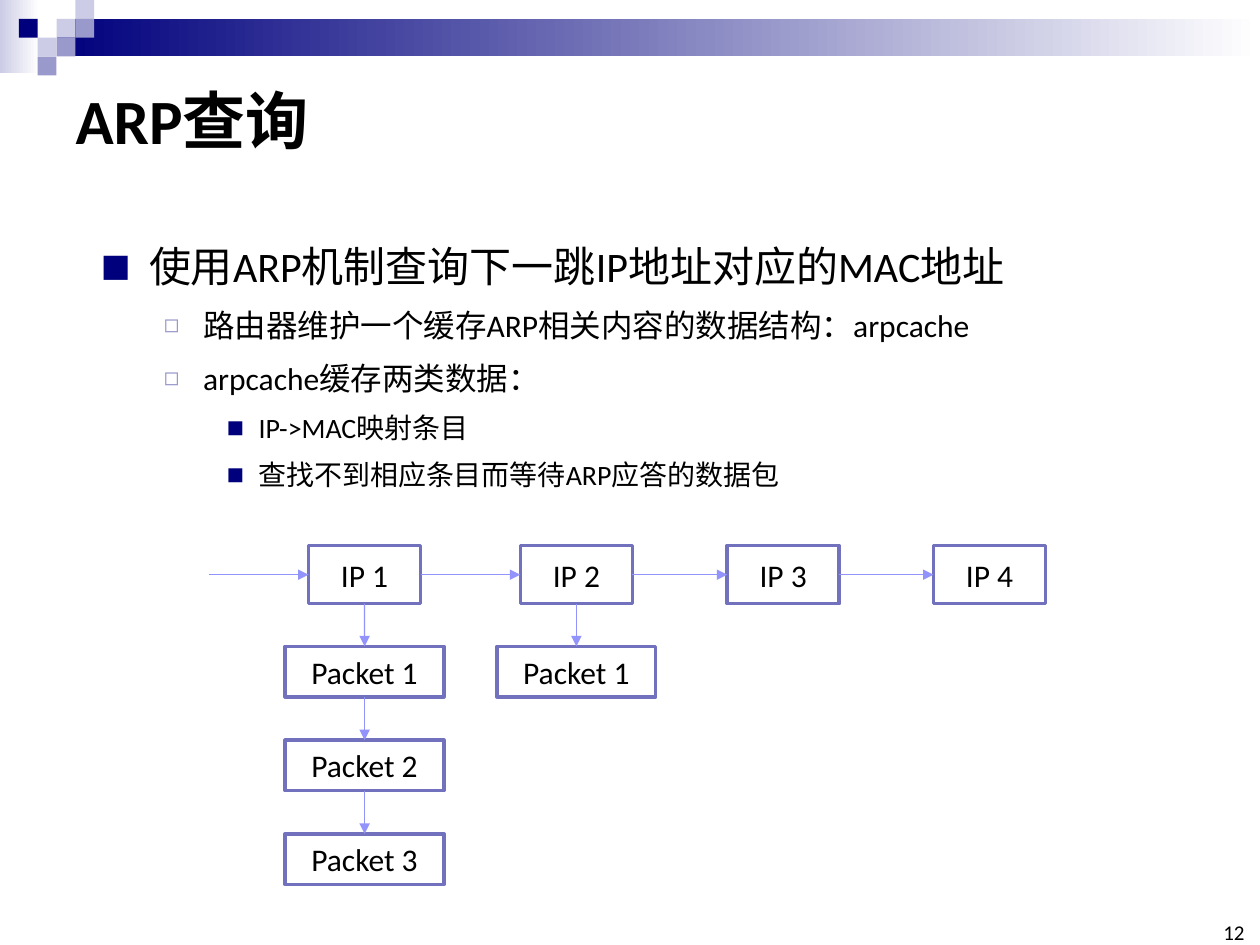
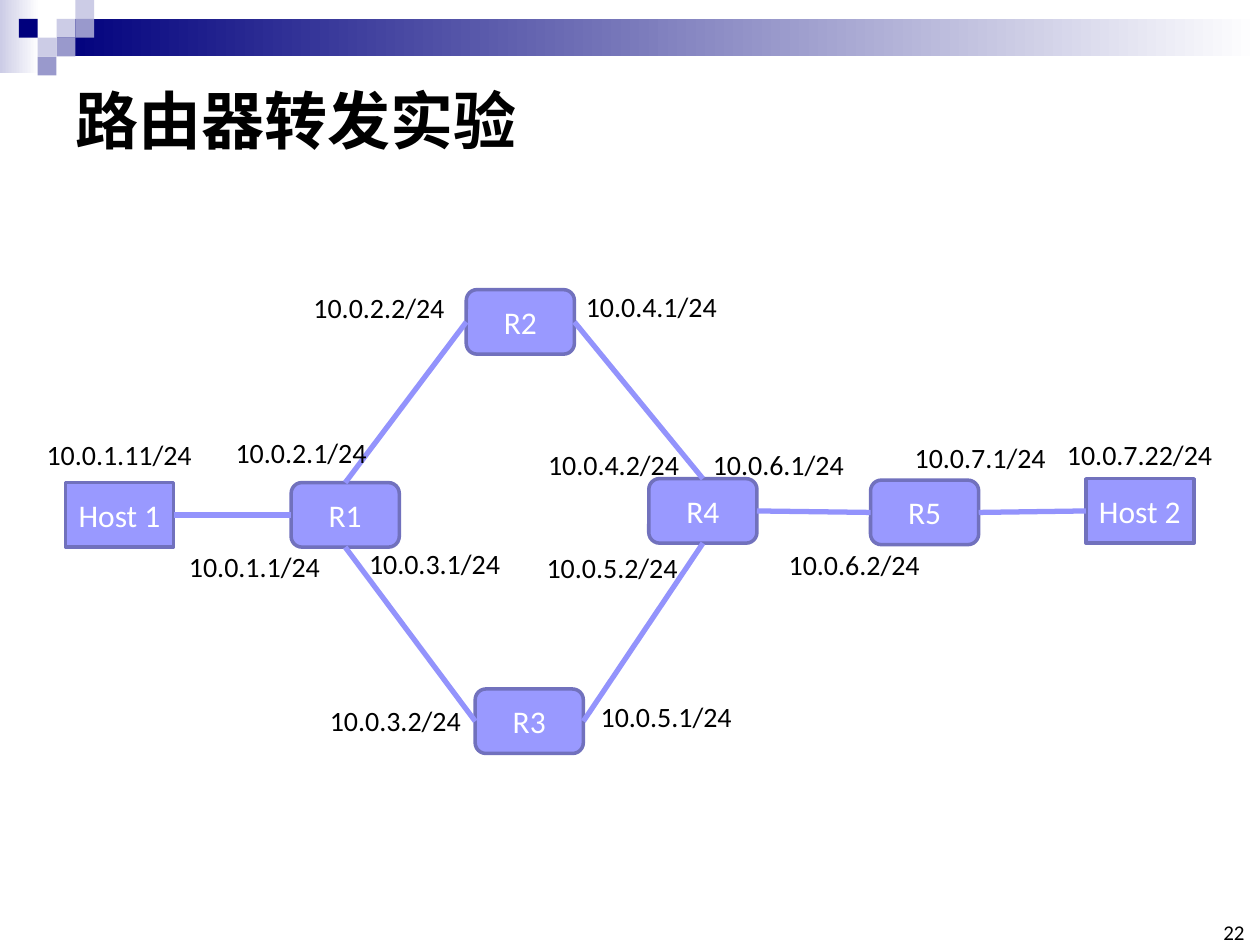
from lxml import etree
from pptx import Presentation
from pptx import util as u
from pptx.dml.color import RGBColor
from pptx.enum import shapes, text
from pptx.oxml.ns import qn

FONT = "Calibri"
COLORS = {
    "navy": "00007D", "mid": "9999CC", "pale": "CCCCE6", "white": "FFFFFF",
    "black": "000000", "node": "9999FF", "outline": "7171BD", "link": "9393FC",
}
TOP, LEFT, BOTTOM, RIGHT = range(4)


def color(name):
    return RGBColor.from_string(COLORS[name])


def box(left, top, width, height):
    return [u.Cm(value) for value in (left, top, width, height)]


def style(paragraph, size, ink="black", bold=False, align=text.PP_ALIGN.LEFT):
    paragraph.alignment = align
    paragraph.font.name = FONT
    paragraph.font.size = u.Pt(size)
    paragraph.font.bold = bold
    paragraph.font.color.rgb = color(ink)


def place(shape, *position):
    shape.left, shape.top, shape.width, shape.height = box(*position)


def add_plain(slide, position, fill, fade=False):
    shape = slide.shapes.add_shape(shapes.MSO_SHAPE.RECTANGLE, *box(*position))
    shape.shadow.inherit = False
    shape.line.fill.background()
    if fade:
        shape.fill.gradient()
        shape.fill.gradient_angle = 0
        for stop, name in zip(shape.fill.gradient_stops, (fill, "white")):
            stop.color.rgb = color(name)
    else:
        shape.fill.solid()
        shape.fill.fore_color.rgb = color(fill)


def add_node(slide, position, label, fill, ink, kind=shapes.MSO_SHAPE.RECTANGLE):
    shape = slide.shapes.add_shape(kind, *box(*position))
    shape.shadow.inherit = False
    shape.fill.solid()
    shape.fill.fore_color.rgb = color(fill)
    shape.line.color.rgb = color("outline")
    shape.line.width = u.Pt(2)
    frame = shape.text_frame
    frame.text = label
    frame.word_wrap = False
    frame.vertical_anchor = text.MSO_ANCHOR.MIDDLE
    style(frame.paragraphs[0], 18, ink, align=text.PP_ALIGN.CENTER)
    return shape


def add_link(slide, start, end, width, arrow=False):
    line = slide.shapes.add_connector(shapes.MSO_CONNECTOR.STRAIGHT, 0, 0, 0, 0)
    if isinstance(start[0], float):
        line.begin_x, line.begin_y = [u.Cm(value) for value in start]
    else:
        line.begin_connect(*start)
    line.end_connect(*end)
    line.line.color.rgb = color("link")
    line.line.width = u.Pt(width)
    properties = line._element.spPr
    if arrow:
        etree.SubElement(properties.find(qn("a:ln")), qn("a:tailEnd"), type="triangle")
    etree.SubElement(properties, qn("a:effectLst"))


def add_label(slide, left, top, words):
    width = 3.18 if len(words) < 12 else 3.48
    label = slide.shapes.add_textbox(*box(left, top, width, 0.94))
    frame = label.text_frame
    frame.text = words
    frame.word_wrap = False
    frame.auto_size = text.MSO_AUTO_SIZE.SHAPE_TO_FIT_TEXT
    style(frame.paragraphs[0], 16)


def add_band(slide):
    cell = 0.38
    add_plain(slide, (0, 0, 0.79, 1.47), "pale", fade=True)
    add_plain(slide, (3 * cell, cell, 25.4 - 3 * cell, 2 * cell), "navy", fade=True)
    for column, row, fill in (
        (3, 1, "pale"), (4, 0, "pale"), (4, 1, "mid"), (2, 2, "pale"),
        (1, 1, "navy"), (3, 2, "mid"), (2, 3, "mid"),
    ):
        add_plain(slide, (column * cell, row * cell, cell, cell), fill)


def add_base_slide(presentation, layout, title, number):
    slide = presentation.slides.add_slide(presentation.slide_layouts[layout])
    add_band(slide)
    heading = slide.shapes.title
    place(heading, 1.27, 1.27, 22.86, 2.26)
    heading.text_frame.text = title
    heading.text_frame.vertical_anchor = text.MSO_ANCHOR.MIDDLE
    style(heading.text_frame.paragraphs[0], 36, bold=True)
    footer = slide.shapes.add_textbox(*box(24.51, 18.62, 0.58, 0.43)).text_frame
    footer.margin_left = footer.margin_right = footer.margin_top = footer.margin_bottom = 0
    footer.word_wrap = True
    footer.vertical_anchor = text.MSO_ANCHOR.BOTTOM
    footer.text = number
    style(footer.paragraphs[0], 12, align=text.PP_ALIGN.RIGHT)
    return slide


LEVELS = [
    {"size": 24, "left": 0.97, "hang": 0.97, "mark": "■", "ink": "navy", "scale": 75},
    {"size": 18, "left": 2.06, "hang": 0.79, "mark": "◻", "ink": "mid", "scale": 80},
    {"size": 16, "left": 3.18, "hang": 0.64, "mark": "■", "ink": "navy", "scale": 65},
]


def add_bullet(paragraph, level):
    properties = paragraph._p.get_or_add_pPr()
    properties.set("marL", str(u.Cm(level["left"])))
    properties.set("indent", str(-u.Cm(level["hang"])))
    ink = etree.SubElement(properties, qn("a:buClr"))
    etree.SubElement(ink, qn("a:srgbClr"), val=COLORS[level["ink"]])
    etree.SubElement(properties, qn("a:buSzPct"), val=str(level["scale"] * 1000))
    etree.SubElement(properties, qn("a:buFont"), typeface=FONT)
    etree.SubElement(properties, qn("a:buChar"), char=level["mark"])


def fill_list(body, items, *position):
    place(body, *position)
    frame = body.text_frame
    frame.auto_size = text.MSO_AUTO_SIZE.NONE
    for index, (depth, words) in enumerate(items):
        paragraph = frame.add_paragraph() if index else frame.paragraphs[0]
        paragraph.text = words
        paragraph.level = depth
        add_bullet(paragraph, LEVELS[depth])
        paragraph.line_spacing = 1.4
        paragraph.space_before = u.Pt(0)
        style(paragraph, LEVELS[depth]["size"])


def draw_cache(slide, left, top):
    entry_width, entry_height = 2.26, 1.17
    packet_width, packet_height, packet_pitch = 3.2, 1.02, 1.89
    previous = (float(left), top + entry_height / 2)
    for number, (offset, packets) in enumerate(((2, 3), (6.27, 1), (10.44, 0), (14.6, 0)), 1):
        entry_left = left + offset
        entry = add_node(slide, (entry_left, top, entry_width, entry_height),
                         f"IP {number}", "white", "black")
        add_link(slide, previous, (entry, LEFT), 0.75, arrow=True)
        previous = (entry, RIGHT)
        above = entry
        packet_left = entry_left + (entry_width - packet_width) / 2
        for row in range(packets):
            packet_top = top + 2.03 + row * packet_pitch
            packet = add_node(slide, (packet_left, packet_top, packet_width, packet_height),
                              f"Packet {row + 1}", "white", "black")
            add_link(slide, (above, BOTTOM), (packet, TOP), 0.75, arrow=True)
            above = packet


NODES = {
    "Host 1": (0.63, 4.01), "R1": (5.18, 4.01), "R2": (8.71, 0.12), "R3": (8.89, 8.17),
    "R4": (12.39, 3.93), "R5": (16.86, 3.96), "Host 2": (21.2, 3.93),
}
LINKS = [
    ("Host 1", RIGHT, "R1", LEFT), ("R1", TOP, "R2", LEFT), ("R1", BOTTOM, "R3", LEFT),
    ("R2", RIGHT, "R4", TOP), ("R3", RIGHT, "R4", BOTTOM),
    ("R4", RIGHT, "R5", LEFT), ("R5", RIGHT, "Host 2", LEFT),
]
ADDRESSES = {
    "1.11": (0, 2.97), "1.1": (2.87, 5.23), "2.1": (3.81, 2.94), "2.2": (5.38, 0.02),
    "3.1": (6.5, 5.18), "3.2": (5.71, 8.33), "4.1": (10.87, 0), "4.2": (10.11, 3.17),
    "5.1": (11.17, 8.25), "5.2": (10.08, 5.25), "6.1": (13.43, 3.17), "6.2": (14.96, 5.2),
    "7.1": (17.5, 3.04), "7.22": (20.57, 2.97),
}


def draw_network(slide, left, top):
    nodes = {}
    for name, (x, y) in NODES.items():
        kind = shapes.MSO_SHAPE.RECTANGLE
        if name.startswith("R"):
            kind = shapes.MSO_SHAPE.ROUNDED_RECTANGLE
        nodes[name] = add_node(slide, (left + x, top + y, 2.18, 1.3), name,
                               "node", "white", kind)
    for start, start_side, end, end_side in LINKS:
        add_link(slide, (nodes[start], start_side), (nodes[end], end_side), 3)
    for address, (x, y) in ADDRESSES.items():
        add_label(slide, left + x, top + y, f"10.0.{address}/24")


def build_query_slide(presentation):
    slide = add_base_slide(presentation, 1, "ARP查询", "12")
    fill_list(slide.placeholders[1], [
        (0, "使用ARP机制查询下一跳IP地址对应的MAC地址"),
        (1, "路由器维护一个缓存ARP相关内容的数据结构：arpcache"),
        (1, "arpcache缓存两类数据："),
        (2, "IP->MAC映射条目"),
        (2, "查找不到相应条目而等待ARP应答的数据包"),
    ], 1.78, 4.32, 21.49, 5.94)
    draw_cache(slide, 4.22, 11)


def build_experiment_slide(presentation):
    slide = add_base_slide(presentation, 5, "路由器转发实验", "22")
    draw_network(slide, 0.69, 5.72)


presentation = Presentation()
presentation.slide_width, presentation.slide_height = u.Cm(25.4), u.Cm(19.05)
build_query_slide(presentation)
build_experiment_slide(presentation)
presentation.save("out.pptx")
